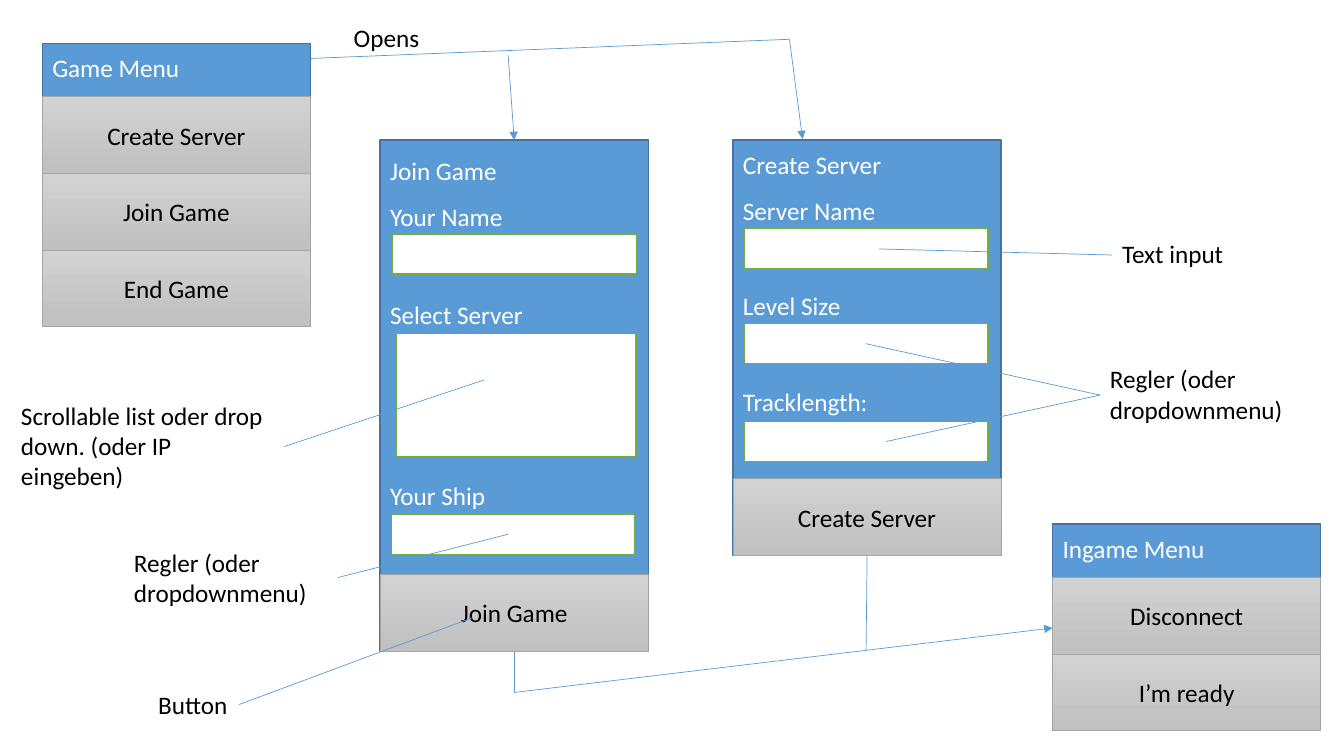
from lxml import etree
from pptx import Presentation
from pptx.dml.color import RGBColor
from pptx.enum import shapes, text
from pptx.oxml.ns import qn
from pptx.util import Inches, Pt

BLUE, WHITE, BLACK = "5B9BD5", "FFFFFF", "000000"
MENU_W, BUTTON_H, LABEL_H = 2.66, 0.76, 0.4


def rgb(color):
    return RGBColor.from_string(color)


def write(sp, words, color):
    tf = sp.text_frame
    tf.text = words
    font = tf.paragraphs[0].runs[0].font
    font.name, font.size = "Calibri", Pt(18)
    font.color.rgb = rgb(color)
    return tf


def add_label(sl, words, left, top, width, height=LABEL_H, color=BLACK):
    sp = sl.shapes.add_textbox(*map(Inches, (left, top, width, height)))
    tf = write(sp, words, color)
    tf.word_wrap = height > LABEL_H


def add_box(sl, left, top, width, height, fill, line, line_pt=1):
    sp = sl.shapes.add_shape(shapes.MSO_SHAPE.RECTANGLE,
                             *map(Inches, (left, top, width, height)))
    sp.shadow.inherit = False
    if isinstance(fill, tuple):
        sp.fill.gradient()
        sp.fill.gradient_angle = 270
        for stop, color in zip(sp.fill.gradient_stops, fill):
            stop.color.rgb = rgb(color)
    else:
        sp.fill.solid()
        sp.fill.fore_color.rgb = rgb(fill)
    sp.line.color.rgb = rgb(line)
    sp.line.width = Pt(line_pt)
    return sp


def add_line(sl, x1, y1, x2, y2, arrow=False):
    c = sl.shapes.add_connector(shapes.MSO_CONNECTOR.STRAIGHT,
                                *map(Inches, (x1, y1, x2, y2)))
    c.line.color.rgb = rgb(BLUE)
    c.line.width = Pt(0.5)
    if arrow:
        etree.SubElement(c.line._get_or_add_ln(), qn("a:tailEnd"), type="triangle")
    etree.SubElement(c._element.spPr, qn("a:effectLst"))


def add_menu(sl, left, top, height, title, buttons, fields=()):
    """Blue panel with a title, input fields and buttons stacked at its foot."""
    add_box(sl, left, top, MENU_W, height, BLUE, "43739E")
    words, dy, width = title
    add_label(sl, words, left, top + dy, width, color=WHITE)
    for words, dy, width, (box_dx, box_dy, box_w, box_h) in fields:
        add_label(sl, words, left, top + dy, width, color=WHITE)
        add_box(sl, left + box_dx, top + box_dy, box_w, box_h, WHITE, "70AD47")
    first = top + height - len(buttons) * BUTTON_H
    for i, words in enumerate(buttons):
        sp = add_box(sl, left, first + i * BUTTON_H, MENU_W, BUTTON_H,
                     ("D2D2D2", "C0C0C0"), "A5A5A5", 0.5)
        tf = write(sp, words, BLACK)
        tf.vertical_anchor = text.MSO_ANCHOR.MIDDLE
        tf.paragraphs[0].alignment = text.PP_ALIGN.CENTER


def add_menus(sl):
    add_menu(sl, 0.42, 0.43, 2.81, ("Game Menu", 0.04, 1.48),
             ["Create Server", "Join Game", "End Game"])
    add_menu(sl, 7.27, 1.39, 4.12, ("Create Server", 0.04, 1.59), ["Create Server"],
             [("Server Name", 0.5, 1.53, (0.11, 0.88, 2.42, 0.4)),
              ("Level Size", 1.44, 1.18, (0.11, 1.82, 2.42, 0.4)),
              ("Tracklength:", 2.39, 1.45, (0.11, 2.79, 2.42, 0.4))])
    add_menu(sl, 3.77, 1.39, 5.07, ("Join Game", 0.1, 1.27), ["Join Game"],
             [("Your Name", 0.56, 1.33, (0.12, 0.93, 2.42, 0.4)),
              ("Select Server", 1.53, 1.53, (0.16, 1.92, 2.38, 1.22)),
              ("Your Ship", 3.33, 1.16, (0.11, 3.71, 2.42, 0.4))])
    add_menu(sl, 10.44, 5.2, 2.05, ("Ingame Menu", 0.04, 1.63),
             ["Disconnect", "I’m ready"])


def add_flow(sl):
    # Game menu opens the two dialogs
    add_label(sl, "Opens", 3.41, 0.17, 0.86)
    add_line(sl, 3.08, 0.58, 7.83, 0.39)
    add_line(sl, 5.04, 0.55, 5.1, 1.39, arrow=True)
    add_line(sl, 7.83, 0.39, 7.96, 1.38, arrow=True)
    # Both dialogs lead to the ingame menu
    add_line(sl, 8.6, 5.52, 8.59, 6.46)
    add_line(sl, 5.1, 6.46, 5.1, 6.87)
    add_line(sl, 5.1, 6.87, 10.44, 6.23, arrow=True)


def add_notes_on_controls(sl):
    # Each note: words, its box, start of its leaders, their ends
    notes = [
        ("Text input", (11.03, 2.32, 1.22), (11.03, 2.53), [(8.72, 2.47)]),
        ("Regler (oder dropdownmenu)", (10.91, 3.56, 2.3, 0.71), (10.91, 3.92),
         [(8.79, 4.38), (8.59, 3.41)]),
        ("Scrollable list oder drop down. (oder IP eingeben)",
         (0.11, 3.92, 2.71, 1.03), (2.82, 4.43), [(4.8, 3.77)]),
        ("Regler (oder dropdownmenu)", (1.23, 5.38, 2.12, 0.71), (3.35, 5.73),
         [(5.04, 5.3)]),
        ("Button", (1.47, 6.79, 0.9), (2.37, 6.99), [(4.68, 6.13)]),
    ]
    for words, box, start, ends in notes:
        add_label(sl, words, *box)
        for end in ends:
            add_line(sl, *start, *end)


def main():
    prs = Presentation()
    prs.slide_width, prs.slide_height = Inches(13.33), Inches(7.5)
    sl = prs.slides.add_slide(prs.slide_layouts[6])
    add_menus(sl)
    add_flow(sl)
    add_notes_on_controls(sl)
    prs.save("out.pptx")


if __name__ == "__main__":
    main()
